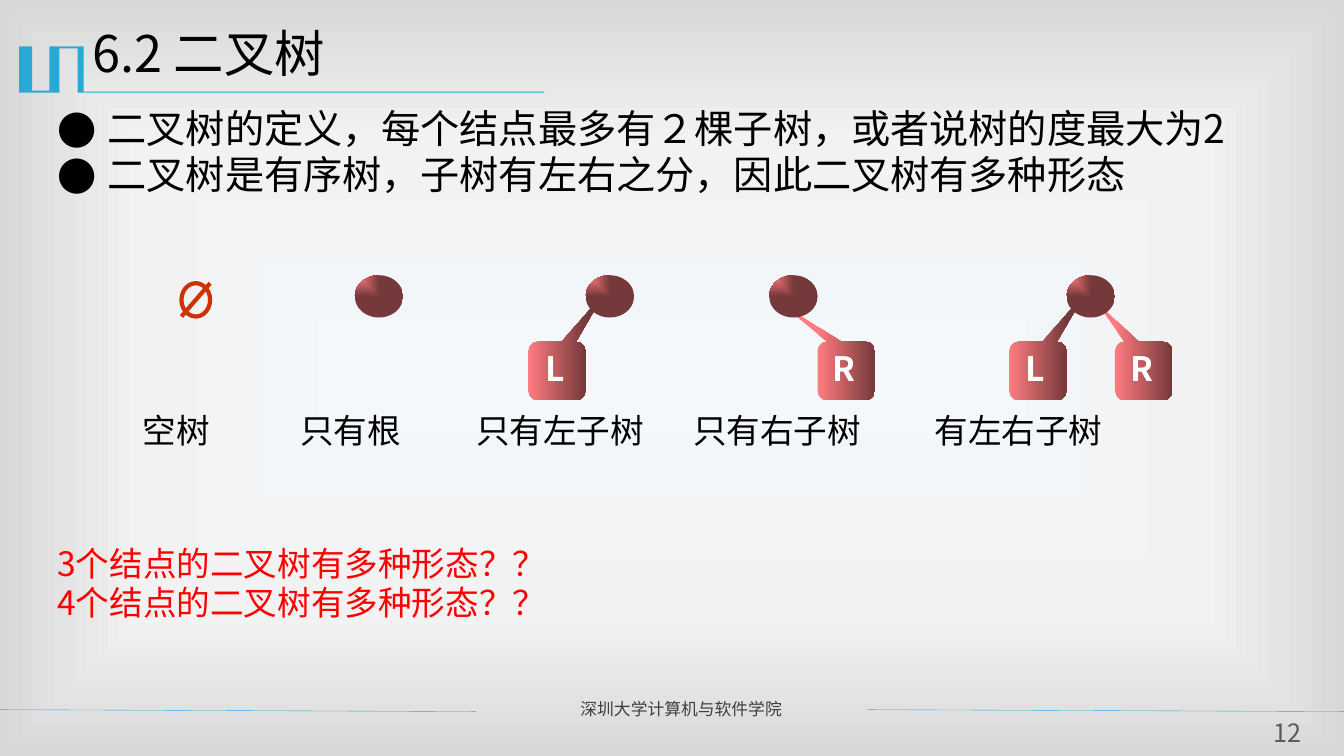
from lxml import etree
from pptx import Presentation
from pptx import util as u
from pptx.dml import color
from pptx.enum import shapes, text
from pptx.oxml import ns

FONT = "Noto Sans CJK SC"
COLORS = {
    "black": "000000", "white": "FFFFFF", "red": "FF0000", "accent": "28A9D6",
    "footer": "3F3F3F", "number": "595959", "empty": "CC3300",
    "pink": "FF7C80", "maroon": "76393B",
    "center": "F4F8FB", "middle": "F2F2F2", "edge": "D8D8D8",
}
NODE_STOPS = [(0, "pink"), (100, "maroon")]
LOGO_OUTLINE = [
    (59, 33.1), (59.8, 33.1), (59.8, 65.5), (388.8, 65.5), (388.8, 66.2),
    (55.4, 66.2), (55.4, 34.6), (42.5, 34.6), (42.5, 66.2), (13.7, 66.2),
    (13.7, 33.1), (23, 33.1), (23, 64.8), (35.3, 64.8), (35.3, 33.1),
]
ROOT_TOP, ROOT_WIDTH, ROOT_HEIGHT = 196.6, 34.6, 30.2
CHILD_TOP, CHILD_WIDTH, CHILD_HEIGHT = 244.1, 41, 41.8
LEFT_POINTER = (0.819, -1.318)
# Root left edge, pointer of the left child, pointer of the right child
TREES = [
    (253.4, None, None),
    (418.3, LEFT_POINTER, None),
    (549.4, None, (-1.184, -1.188)),
    (761.8, LEFT_POINTER, (-0.83, -1.188)),
]


def rgb(name):
    return color.RGBColor.from_string(COLORS[name])


def add_child(parent, tag, **attributes):
    child = etree.SubElement(parent, ns.qn(tag))
    for key, value in attributes.items():
        child.set(key, str(value))
    return child


def paint_gradient(fill, owner, stops, focus=None):
    """Linear gradient, or a rectangular one around focus (l, t, r, b in percent)."""
    fill.gradient()
    gradient = owner.find(".//" + ns.qn("a:gradFill"))
    for child in list(gradient):
        gradient.remove(child)
    stop_list = add_child(gradient, "a:gsLst")
    for position, name in stops:
        stop = add_child(stop_list, "a:gs", pos=position * 1000)
        add_child(stop, "a:srgbClr", val=COLORS[name])
    if focus is None:
        add_child(gradient, "a:lin", ang=0, scaled=1)
    else:
        path = add_child(gradient, "a:path", path="rect")
        sides = {side: value * 1000 for side, value in zip("ltrb", focus)}
        add_child(path, "a:fillToRect", **sides)


def write(frame, content, size=24, color_name="black", bold=False, align="LEFT",
          anchor="TOP", insets=(7.2, 3.6, 7.2, 3.6), before=0, bullet=None, tabs=()):
    """Write each line of content as a paragraph of the frame."""
    frame.word_wrap = True
    frame.vertical_anchor = getattr(text.MSO_ANCHOR, anchor)
    (frame.margin_left, frame.margin_top,
     frame.margin_right, frame.margin_bottom) = map(u.Pt, insets)
    for index, line in enumerate(content.split("\n")):
        para = frame.add_paragraph() if index else frame.paragraphs[0]
        para.alignment = getattr(text.PP_ALIGN, align)
        para.line_spacing = 0.9
        if index:
            para.space_before = u.Pt(before)
        properties = para._p.get_or_add_pPr()
        if bullet:
            properties.set("marL", str(u.Pt(36)))
            properties.set("indent", str(u.Pt(-36)))
            add_child(properties, "a:buFont", typeface=FONT)
            add_child(properties, "a:buChar", char=bullet)
        if tabs:
            tab_list = add_child(properties, "a:tabLst")
            for tab in tabs:
                add_child(tab_list, "a:tab", pos=u.Pt(tab), algn="l")
        span = para.add_run()
        span.text = line
        span.font.size = u.Pt(size)
        span.font.bold = bold
        span.font.color.rgb = rgb(color_name)
        span.font.name = FONT
        add_child(span._r.get_or_add_rPr(), "a:ea", typeface=FONT)


def add_text(page, content, left, top, width, height, **style):
    box = page.shapes.add_textbox(*map(u.Pt, (left, top, width, height)))
    write(box.text_frame, content, **style)


def add_line(page, start, end, color_name, weight):
    line = page.shapes.add_connector(
        shapes.MSO_CONNECTOR.STRAIGHT, *map(u.Pt, (*start, *end)))
    line.line.color.rgb = rgb(color_name)
    line.line.width = u.Pt(weight)
    add_child(line._element.spPr, "a:effectLst")


def add_preset(page, kind, left, top, width, height):
    shape = page.shapes.add_shape(kind, *map(u.Pt, (left, top, width, height)))
    shape.shadow.inherit = False
    shape.line.fill.background()
    return shape


def add_subtree(page, label, left, pointer):
    callout = add_preset(page, shapes.MSO_SHAPE.ROUNDED_RECTANGULAR_CALLOUT,
                         left, CHILD_TOP, CHILD_WIDTH, CHILD_HEIGHT)
    for index, value in enumerate((*pointer, 0.167)):
        callout.adjustments[index] = value
    paint_gradient(callout.fill, callout._element, NODE_STOPS)
    write(callout.text_frame, label, color_name="white", bold=True,
          align="CENTER", anchor="MIDDLE", insets=(0, 0, 3, 0))


def add_tree(page, left, left_pointer, right_pointer):
    if left_pointer:
        add_subtree(page, "L", left - CHILD_WIDTH, left_pointer)
    if right_pointer:
        add_subtree(page, "R", left + ROOT_WIDTH, right_pointer)
    root = add_preset(page, shapes.MSO_SHAPE.OVAL,
                      left, ROOT_TOP, ROOT_WIDTH, ROOT_HEIGHT)
    paint_gradient(root.fill, root._element, NODE_STOPS, focus=(0, 0, 100, 100))


def add_empty_tree(page, left, top, width, height):
    ring = add_preset(page, shapes.MSO_SHAPE.OVAL, left, top, width, height)
    ring.fill.background()
    ring.line.color.rgb = rgb("empty")
    ring.line.width = u.Pt(3)
    add_line(page, (left + width, top), (left, top + height), "empty", 3)


def add_logo_outline(page):
    points = [(u.Pt(x), u.Pt(y)) for x, y in LOGO_OUTLINE]
    builder = page.shapes.build_freeform(*points[0])
    builder.add_line_segments(points[1:], close=True)
    outline = builder.convert_to_shape()
    outline.shadow.inherit = False
    outline.fill.solid()
    outline.fill.fore_color.rgb = rgb("accent")
    outline.line.fill.background()


def main():
    deck = Presentation()
    deck.slide_width, deck.slide_height = u.Pt(960), u.Pt(540)
    page = deck.slides.add_slide(deck.slide_layouts[6])

    # Background and frame
    paint_gradient(page.background.fill, page._element,
                   [(0, "center"), (63, "middle"), (100, "edge")],
                   focus=(50, 50, 50, 50))
    add_logo_outline(page)
    for start, end in ((0, 340), (620, 960)):
        add_line(page, (start, 506.9), (end, 508.3), "accent", 0.25)
    add_text(page, "深圳大学计算机与软件学院", 407.5, 497.5, 205.2, 21.6,
             size=12, color_name="footer", align="JUSTIFY")
    add_text(page, "12", 898.6, 513.4, 42.5, 22.3, size=18, color_name="number",
             align="CENTER", anchor="MIDDLE", insets=(0, 0, 0, 0))

    # Title, statements and questions
    add_text(page, "6.2 二叉树", 59, 17.3, 864, 62.6, size=36)
    add_text(page, "二叉树的定义，每个结点最多有２棵子树，或者说树的度最大为2\n"
             "二叉树是有序树，子树有左右之分，因此二叉树有多种形态",
             33.8, 74.9, 873.4, 90, size=28, before=2.8, bullet="●")
    add_text(page, "3个结点的二叉树有多种形态？？\n4个结点的二叉树有多种形态？？",
             33.8, 387.4, 873.4, 76, color_name="red", before=2)

    # Five forms of a binary tree
    add_empty_tree(page, 129.6, 202.3, 20.5, 23.8)
    for tree in TREES:
        add_tree(page, *tree)
    add_text(page, "空树\t只有根\t只有左子树\t只有右子树\t有左右子树",
             95, 292.3, 769.7, 36, tabs=(112.5, 238, 393, 565.5))

    deck.save("out.pptx")


if __name__ == "__main__":
    main()
